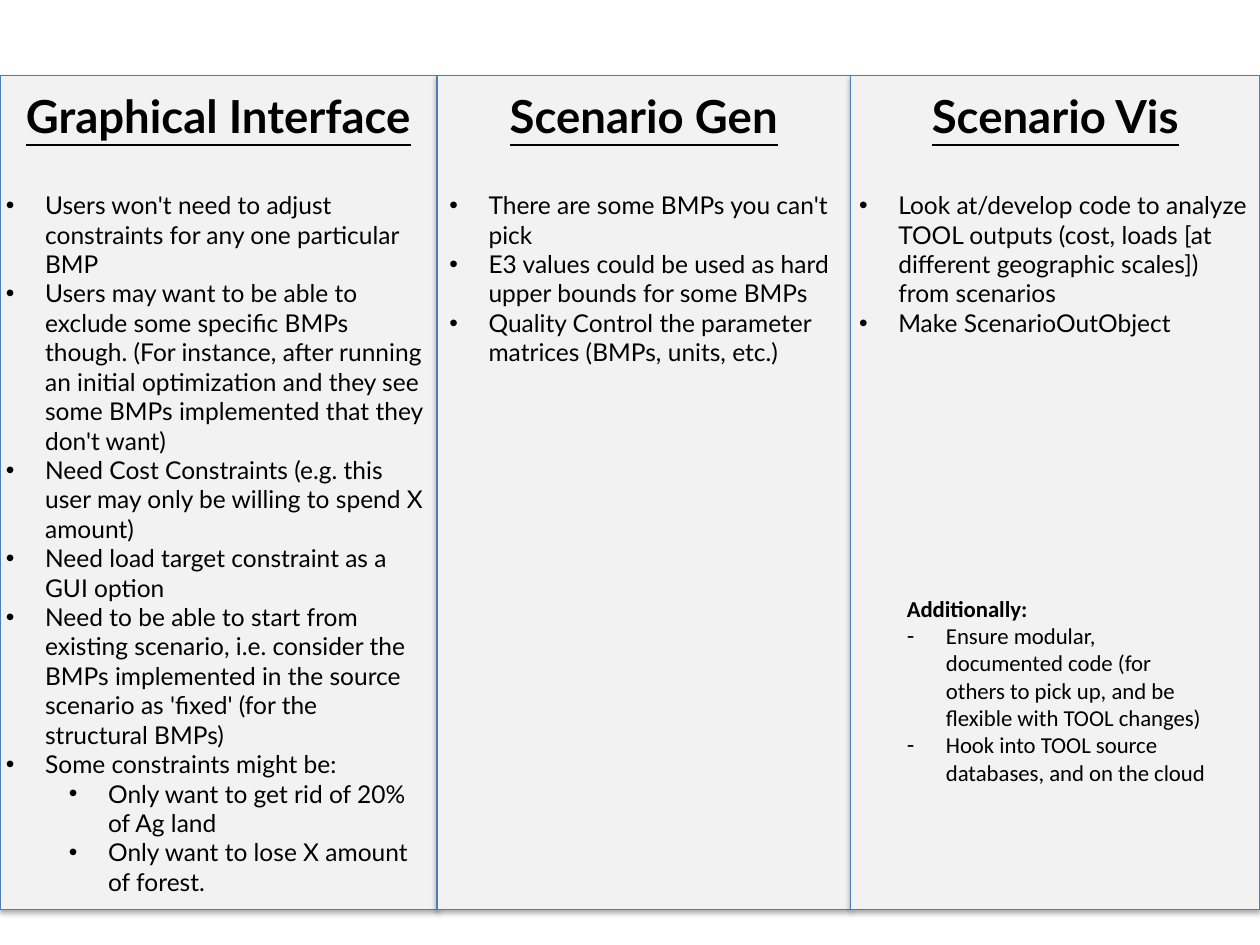
from lxml import etree
from pptx import Presentation
from pptx.dml.color import RGBColor
from pptx.enum.shapes import MSO_SHAPE
from pptx.enum.text import MSO_AUTO_SIZE, PP_ALIGN
from pptx.oxml import parse_xml
from pptx.oxml.ns import qn
from pptx.util import Cm, Pt

RECTANGLE = MSO_SHAPE.RECTANGLE
FIT_SHAPE = MSO_AUTO_SIZE.SHAPE_TO_FIT_TEXT
CENTER, LEFT = PP_ALIGN.CENTER, PP_ALIGN.LEFT
SHADOW = (
    '<a:outerShdw xmlns:a="http://schemas.openxmlformats.org/drawingml/2006/main" '
    'blurRad="40000" dist="23000" dir="5400000" rotWithShape="0">'
    '<a:srgbClr val="000000"><a:alpha val="35000"/></a:srgbClr></a:outerShdw>'
)


def color(value):
    return RGBColor.from_string(value)


def add_text(box, lines, wrap=True, align=LEFT):
    left, top, width, height = map(Cm, box)
    frame = slide.shapes.add_textbox(left, top, width, height).text_frame
    frame.word_wrap = wrap
    frame.auto_size = FIT_SHAPE
    for index, (text, level, bullet, style) in enumerate(lines):
        paragraph = frame.paragraphs[0] if index == 0 else frame.add_paragraph()
        paragraph.alignment = align
        paragraph.level = level
        run = paragraph.add_run()
        run.text = text
        run.font.color.rgb = color("000000")
        for name, value in style.items():
            setattr(run.font, name, value)
        if bullet:
            properties = paragraph._p.get_or_add_pPr()
            properties.set("marL", str(Cm(0.79 + 1.27 * level)))
            properties.set("indent", str(Cm(-0.79)))
            etree.SubElement(properties, qn("a:buFont")).set("typeface", "Arial")
            etree.SubElement(properties, qn("a:buChar")).set("char", bullet)


heading_style = {"name": "Lato", "size": Pt(26), "bold": True, "underline": True}
point_style = {"name": "Lato", "size": Pt(14)}
extra_style = {"name": "Calibri", "size": Pt(13)}

topics = [
    {
        "heading": "Graphical Interface",
        "panel": (0, 8.81),
        "heading_width": 8.48,
        "points_box": (-0.13, 3.71, 8.94, 14.63),
        "points": [
            ("Users won't need to adjust constraints for any one particular BMP", 0),
            ("Users may want to be able to exclude some specific BMPs though. "
             "(For instance, after running an initial optimization and they see "
             "some BMPs implemented that they don't want)", 0),
            ("Need Cost Constraints (e.g. this user may only be willing to "
             "spend X amount)", 0),
            ("Need load target constraint as a GUI option", 0),
            ("Need to be able to start from existing scenario, i.e. consider the "
             "BMPs implemented in the source scenario as 'fixed' "
             "(for the structural BMPs)", 0),
            ("Some constraints might be:", 0),
            ("Only want to get rid of 20% of Ag land", 1),
            ("Only want to lose X amount of forest.", 1),
        ],
    },
    {
        "heading": "Scenario Gen",
        "panel": (8.81, 8.34),
        "heading_width": 5.99,
        "points_box": (8.81, 3.71, 8.33, 3.84),
        "points": [
            ("There are some BMPs you can't pick", 0),
            ("E3 values could be used as hard upper bounds for some BMPs", 0),
            ("Quality Control the parameter matrices (BMPs, units, etc.)", 0),
        ],
    },
    {
        "heading": "Scenario Vis",
        "panel": (17.15, 8.25),
        "heading_width": 5.61,
        "points_box": (17.07, 3.71, 8.33, 3.25),
        "points": [
            ("Look at/develop code to analyze TOOL outputs (cost, loads "
             "[at different geographic scales]) from scenarios", 0),
            ("Make ScenarioOutObject", 0),
        ],
    },
]

prs = Presentation()
prs.slide_width = Cm(25.4)
prs.slide_height = Cm(19.05)
slide = prs.slides.add_slide(prs.slide_layouts[6])

for topic in topics:
    left, width = topic["panel"]
    panel = slide.shapes.add_shape(RECTANGLE, Cm(left), Cm(1.52), Cm(width), Cm(16.81))
    panel.fill.solid()
    panel.fill.fore_color.rgb = color("F2F2F2")
    panel.line.color.rgb = color("4B7EBC")
    panel.line.width = Pt(0.75)
    panel.shadow.inherit = False
    panel._element.spPr.find(qn("a:effectLst")).append(parse_xml(SHADOW))

for topic in topics:
    left, width = topic["panel"]
    heading_width = topic["heading_width"]
    heading_left = left + (width - heading_width) / 2
    add_text((heading_left, 1.65, heading_width, 1.37),
             [(topic["heading"], 0, None, heading_style)], wrap=False, align=CENTER)

for topic in topics:
    add_text(topic["points_box"],
             [(text, level, "•", point_style) for text, level in topic["points"]])

add_text((18.03, 11.86, 6.71, 4.14), [
    ("Additionally:", 0, None, {**extra_style, "bold": True}),
    ("Ensure modular, documented code (for others to pick up, and be flexible "
     "with TOOL changes)", 0, "-", extra_style),
    ("Hook into TOOL source databases, and on the cloud", 0, "-", extra_style),
])

prs.save("out.pptx")
